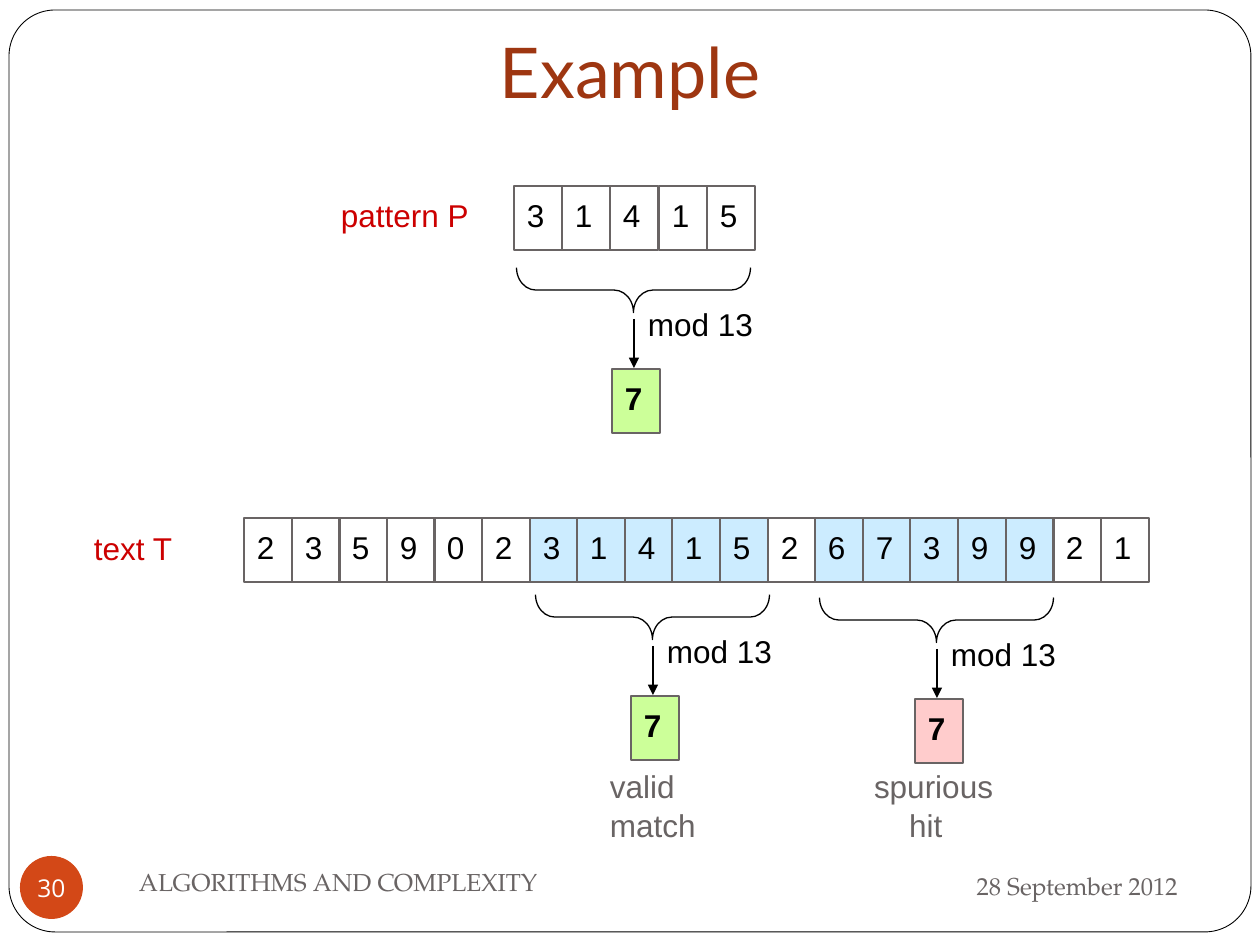
import pptx
import pptx.util
import pptx.dml.color
import pptx.enum.shapes
import pptx.enum.text
import lxml.etree

COLORS = {
    "white": "FFFFFF", "black": "000000", "gray": "696464", "red": "CC0000",
    "title": "9E3611", "badge": "D34817", "window": "CCECFF",
    "valid": "CCFF99", "spurious": "FFCCCC",
}
TITLE = "Example"
CELL_WIDTH, CELL_HEIGHT = 48, 64
ROWS = [
    {"digits": "31415", "left": 514, "top": 186, "pitch": 48.25, "windows": []},
    {"digits": "2359023141526739921", "left": 244, "top": 518, "pitch": 47.6,
     "windows": [range(6, 11), range(12, 17)]},
]
LABELS = [
    ("pattern P", (328, 186, 175, 63), "red"),
    ("text T", (81, 519, 125, 63), "red"),
]
HASHES = [(611, 173, "valid"), (630, 500, "valid"), (914, 503, "spurious")]
VERDICTS = [
    (["valid", "match"], (597, 757, 127, 113), 0),
    (["spurious", "hit"], (861, 757, 168, 113), 35),
]
FOOTERS = [
    ("28 September 2012", (850, 853, 341, 66), "RIGHT"),
    ("ALGORITHMS AND COMPLEXITY", (126, 850, 546, 63), "LEFT"),
]
SLIDE_NUMBER = ("30", (20, 856, 63, 63))

ANCHOR = pptx.enum.text.MSO_ANCHOR
ALIGN = pptx.enum.text.PP_ALIGN
SHAPE = pptx.enum.shapes.MSO_SHAPE


def px(value):
    return pptx.util.Emu(round(value * 914400 / 126))


def rgb(name):
    return pptx.dml.color.RGBColor.from_string(COLORS[name])


def write(shape, lines, color, size=18, font="Arial", bold=False, align=ALIGN.LEFT,
          anchor=ANCHOR.TOP, insets=(13, 8, 13, 6), spacing=1.05, last_indent=0):
    frame = shape.text_frame
    frame.word_wrap = True
    frame.auto_size = pptx.enum.text.MSO_AUTO_SIZE.NONE
    frame.vertical_anchor = anchor
    frame.margin_left, frame.margin_top, frame.margin_right, frame.margin_bottom = map(px, insets)
    for index, line in enumerate(lines):
        paragraph = frame.add_paragraph() if index else frame.paragraphs[0]
        paragraph.alignment = align
        paragraph.line_spacing = spacing
        if last_indent and index == len(lines) - 1:
            paragraph._p.get_or_add_pPr().set("marL", str(px(last_indent)))
        run = paragraph.add_run()
        run.text = line
        run.font.name = font
        run.font.size = pptx.util.Pt(size)
        run.font.bold = bold
        run.font.color.rgb = rgb(color)


def add_shape(kind, box, fill=None, line=None, width=0.75):
    shape = slide.shapes.add_shape(kind, *map(px, box))
    shape.shadow.inherit = False
    if fill:
        shape.fill.solid()
        shape.fill.fore_color.rgb = rgb(fill)
    else:
        shape.fill.background()
    if line:
        shape.line.color.rgb = rgb(line)
        shape.line.width = pptx.util.Pt(width)
    else:
        shape.line.fill.background()
    return shape


def add_text(lines, box, color, **style):
    write(slide.shapes.add_textbox(*map(px, box)), lines, color, **style)


def add_cell(digit, left, top, fill=None, bold=False):
    cell = add_shape(SHAPE.RECTANGLE, (left, top, CELL_WIDTH, CELL_HEIGHT), fill, "gray")
    write(cell, [digit], "black", bold=bold)


def add_arrow(x, top, bottom):
    arrow = slide.shapes.add_connector(
        pptx.enum.shapes.MSO_CONNECTOR.STRAIGHT, px(x), px(top), px(x), px(bottom))
    arrow.line.color.rgb = rgb("black")
    arrow.line.width = pptx.util.Pt(0.75)
    namespace = "{http://schemas.openxmlformats.org/drawingml/2006/main}"
    lxml.etree.SubElement(arrow.line._get_or_add_ln(), namespace + "tailEnd", type="triangle")
    lxml.etree.SubElement(arrow._element.spPr, namespace + "effectLst")


def add_hash(left, top, fill):
    brace = add_shape(SHAPE.LEFT_BRACE, (left, top, 45, 234), line="black")
    brace.rotation = 270
    brace.adjustments[0] = 0.43
    brace.adjustments[1] = 0.5
    add_arrow(left + 23, top + 146, top + 195)
    add_cell("7", left + 1, top + 196, fill, bold=True)
    add_text(["mod 13"], (left + 24, top + 122, 152, 63), "black")


presentation = pptx.Presentation()
presentation.slide_width, presentation.slide_height = px(1260), px(945)
slide = presentation.slides.add_slide(presentation.slide_layouts[5])

border = add_shape(SHAPE.ROUNDED_RECTANGLE, (9, 10, 1242, 922), "white", "black", 0.5)
border.adjustments[0] = 0.05

title = slide.shapes.title
border._element.addnext(title._element)
title.left, title.top, title.width, title.height = map(px, (0, 0, 1260, 126))
write(title, [TITLE], "title", size=40, font="Lato", align=ALIGN.CENTER,
      anchor=ANCHOR.BOTTOM, insets=(13, 6, 13, 13), spacing=1)

for text, box, align in FOOTERS:
    add_text([text], box, "gray", size=14, font="TeX Gyre Pagella", align=ALIGN[align],
             anchor=ANCHOR.MIDDLE, insets=(13, 6, 13, 6), spacing=1)

number, badge_box = SLIDE_NUMBER
badge = add_shape(SHAPE.OVAL, badge_box, "badge")
write(badge, [number], "white", size=14, font="Open Sans", align=ALIGN.CENTER,
      anchor=ANCHOR.MIDDLE, insets=(0, 0, 0, 0), spacing=1)

for row in ROWS:
    for index, digit in enumerate(row["digits"]):
        inside = any(index in window for window in row["windows"])
        add_cell(digit, round(row["left"] + index * row["pitch"]), row["top"],
                 "window" if inside else None)

for text, box, color in LABELS:
    add_text([text], box, color)

for left, top, fill in HASHES:
    add_hash(left, top, fill)

for lines, box, indent in VERDICTS:
    add_text(lines, box, "gray", last_indent=indent)

presentation.save("out.pptx")
